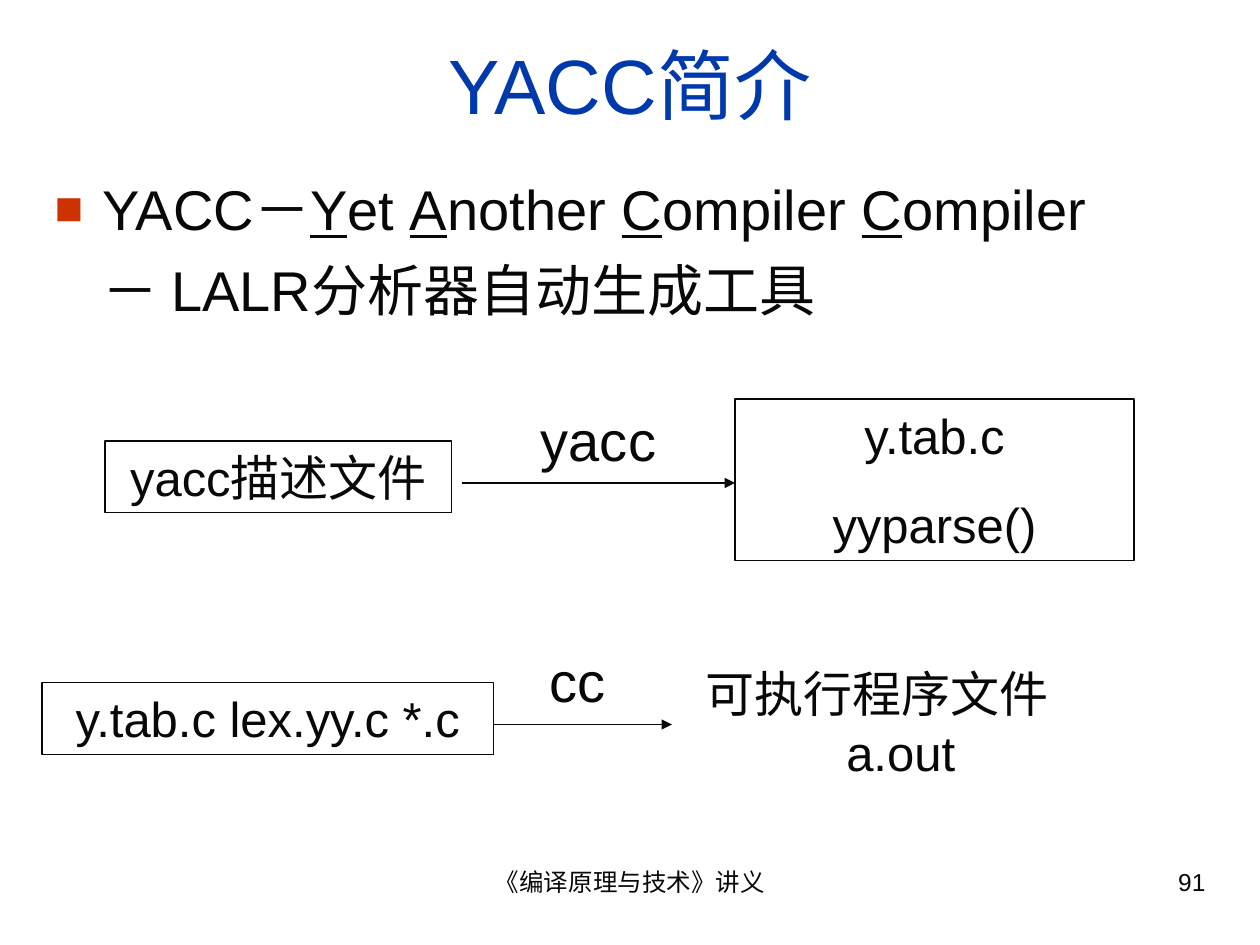
from lxml.etree import SubElement
from pptx import Presentation
from pptx.dml.color import RGBColor
from pptx.enum.shapes import MSO_CONNECTOR, MSO_SHAPE
from pptx.enum.text import MSO_ANCHOR, MSO_AUTO_SIZE, PP_ALIGN
from pptx.oxml.ns import qn
from pptx.util import Inches, Pt

CELL = Inches(1) / 12  # grid of 120 columns by 90 rows
INK, TITLE_BLUE, BULLET_RED = "080808", "0039AC", "CC3300"
INDENT = Inches(0.38)


def grid(*cells):
    return [round(cell * CELL) for cell in cells]


def color(hex_code):
    return RGBColor.from_string(hex_code)


def add_run(paragraph, text, size, hex_code=INK, underline=None):
    run = paragraph.add_run()
    run.text = text
    run.font.name = "Arial"
    run.font.size = Pt(size)
    run.font.color.rgb = color(hex_code)
    run.font.underline = underline


def place(shape, left, top, width, height):
    shape.left, shape.top, shape.width, shape.height = grid(left, top, width, height)


def set_indent(paragraph, margin, first_line):
    properties = paragraph._p.get_or_add_pPr()
    properties.set("marL", str(margin))
    properties.set("indent", str(first_line))
    return properties


def add_bullet(paragraph):
    properties = set_indent(paragraph, INDENT, -INDENT)
    bullet_color = SubElement(properties, qn("a:buClr"))
    SubElement(bullet_color, qn("a:srgbClr"), val=BULLET_RED)
    SubElement(properties, qn("a:buSzPct"), val="85000")
    SubElement(properties, qn("a:buChar"), char="■")


def fill_title(title):
    place(title, 4, 3, 112, 10)
    frame = title.text_frame
    frame.auto_size = MSO_AUTO_SIZE.NONE
    frame.vertical_anchor = MSO_ANCHOR.MIDDLE
    paragraph = frame.paragraphs[0]
    paragraph.alignment = PP_ALIGN.CENTER
    add_run(paragraph, "YACC简介", 44, TITLE_BLUE)


def fill_body(body):
    place(body, 4, 16, 112, 64)
    frame = body.text_frame
    frame.auto_size = MSO_AUTO_SIZE.NONE
    name = frame.paragraphs[0]
    add_bullet(name)
    name.space_before = Pt(0)
    add_run(name, "YACC－", 32)
    for initial, rest in [("Y", "et "), ("A", "nother "), ("C", "ompiler "), ("C", "ompiler")]:
        add_run(name, initial, 32, underline=True)
        add_run(name, rest, 32)

    purpose = frame.add_paragraph()
    SubElement(set_indent(purpose, INDENT, 0), qn("a:buNone"))
    purpose.space_before = Pt(8)
    add_run(purpose, "－ LALR分析器自动生成工具", 32)


def write_lines(shape, lines, size, align=PP_ALIGN.CENTER):
    frame = shape.text_frame
    frame.word_wrap = True
    frame.vertical_anchor = MSO_ANCHOR.TOP
    for index, line in enumerate(lines):
        paragraph = frame.add_paragraph() if index else frame.paragraphs[0]
        paragraph.alignment = align
        paragraph.space_before = Pt(17.5 if index else 0)
        add_run(paragraph, line, size)


def add_label(slide, box, text, size, align=PP_ALIGN.CENTER):
    label = slide.shapes.add_textbox(*grid(*box))
    write_lines(label, [text], size, align)
    return label


def add_file_box(slide, box, *lines):
    shape = slide.shapes.add_shape(MSO_SHAPE.RECTANGLE, *grid(*box))
    shape.shadow.inherit = False
    shape.fill.background()
    shape.line.color.rgb = color(INK)
    shape.line.width = Pt(0.75)
    write_lines(shape, lines, 28)


def add_arrow(slide, start, end, row):
    arrow = slide.shapes.add_connector(MSO_CONNECTOR.STRAIGHT, *grid(start, row, end, row))
    arrow.line.color.rgb = color(INK)
    arrow.line.width = Pt(0.75)
    SubElement(arrow.line._get_or_add_ln(), qn("a:tailEnd"), type="triangle")
    SubElement(arrow._element.spPr, qn("a:effectLst"))


def main():
    presentation = Presentation()
    presentation.slide_width, presentation.slide_height = grid(120, 90)
    slide = presentation.slides.add_slide(presentation.slide_layouts[1])
    fill_title(slide.shapes.title)
    fill_body(slide.placeholders[1])

    add_file_box(slide, (10, 42, 33, 6.84), "yacc描述文件")
    add_arrow(slide, 44, 70, 46)
    add_label(slide, (47, 38, 20, 7.7), "yacc", 32)
    add_file_box(slide, (70, 38, 38, 15.36), "y.tab.c", "yyparse()")

    add_file_box(slide, (4, 65, 43, 6.84), "y.tab.c lex.yy.c *.c")
    add_arrow(slide, 47, 64, 69)
    add_label(slide, (45, 61, 20, 7.7), "cc", 32)
    program = add_label(slide, (64, 62.6, 39, 12.5), "可执行程序文件a.out", 28)
    set_indent(program.text_frame.paragraphs[0], INDENT, -INDENT)

    add_label(slide, (41, 82, 38, 6.2), "《编译原理与技术》讲义", 14)
    add_label(slide, (86, 82, 30, 6.2), "91", 14, PP_ALIGN.RIGHT)
    presentation.save("out.pptx")


if __name__ == "__main__":
    main()
